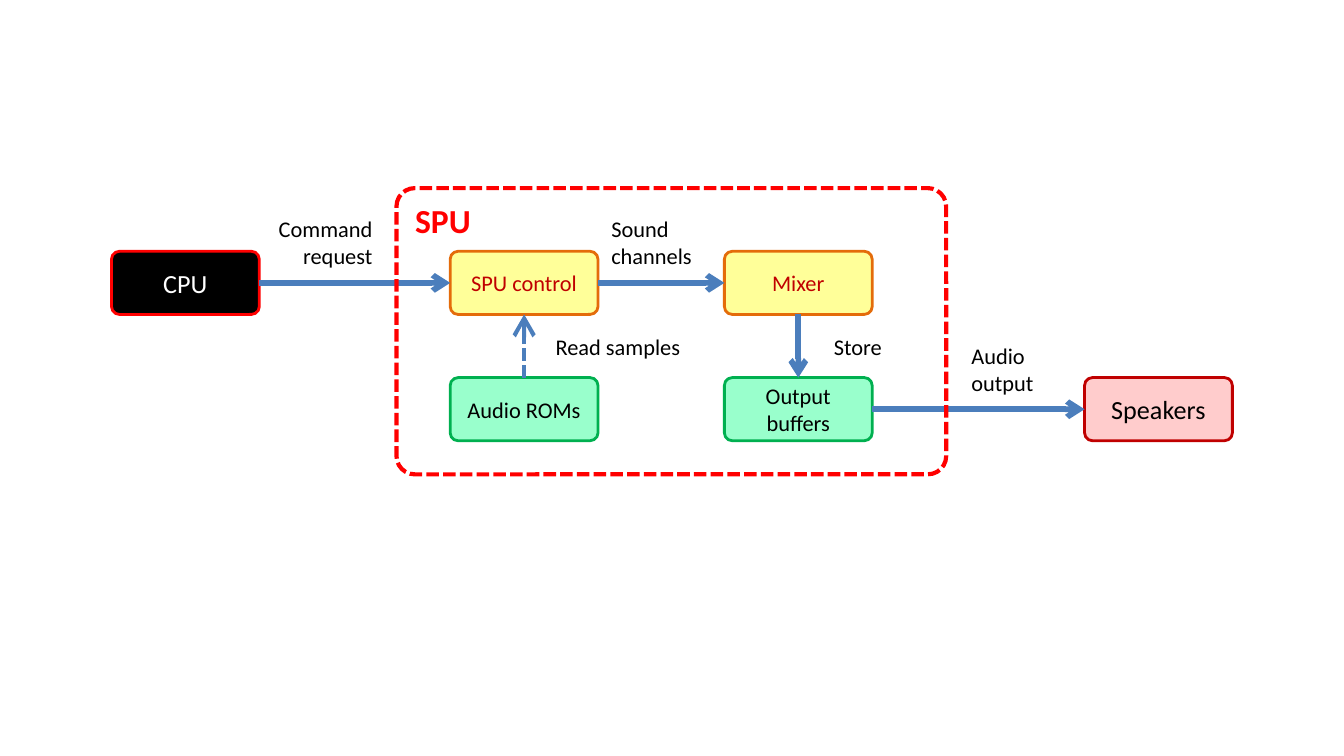
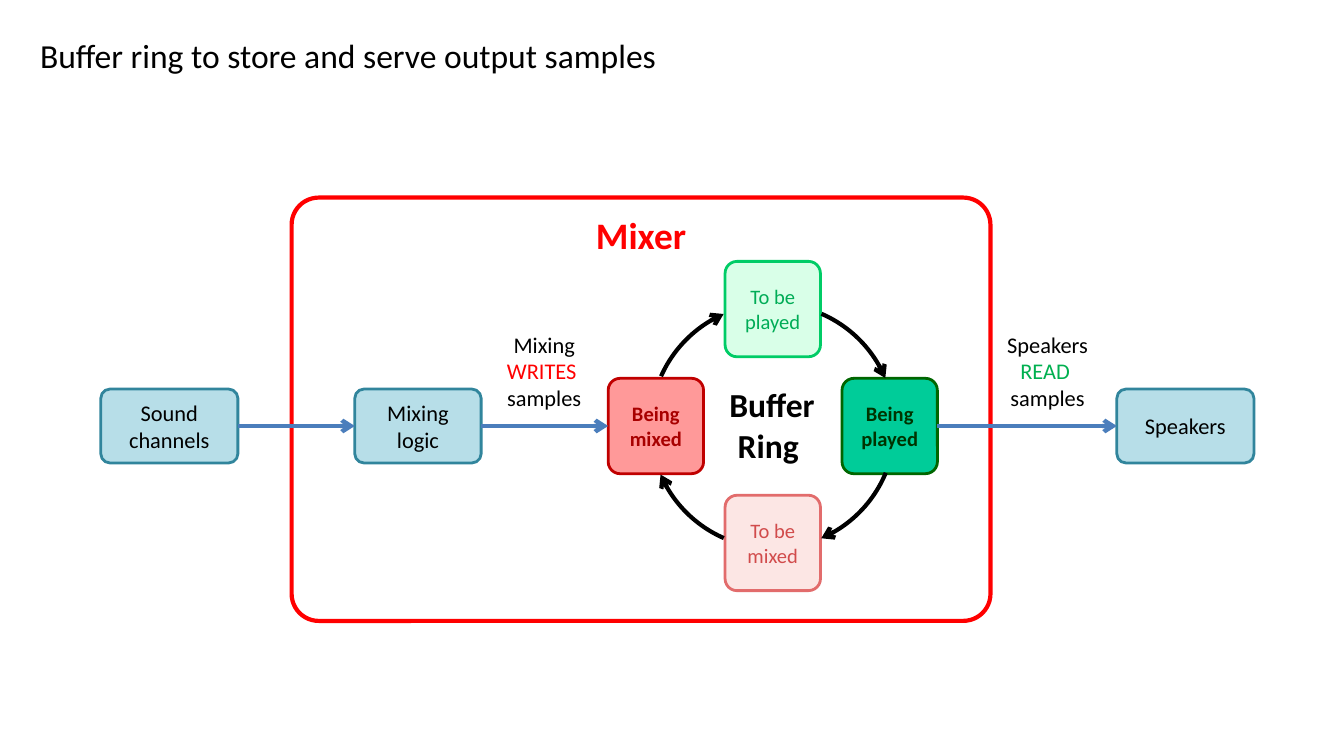
"""Draw the sound unit and the buffer ring of its mixer."""
from dataclasses import dataclass
from typing import NamedTuple

from lxml import etree
from pptx import Presentation
from pptx import util as u
from pptx.dml.color import RGBColor
from pptx.enum import dml, shapes, text
from pptx.oxml.ns import qn


class Skin(NamedTuple):
    fill: str | None
    edge: str
    ink: str
    size: float
    bold: bool = False


@dataclass(frozen=True)
class Theme:
    font: str = "Calibri"
    black: str = "000000"
    red: str = "FF0000"
    green: str = "00B050"
    link: str = "4B7EBC"
    note: float = 12
    head: float = 18
    edge: float = 1.5
    thin: float = 2.25
    thick: float = 3
    cpu: Skin = Skin("000000", "FF0000", "FFFFFF", 14)
    unit: Skin = Skin("FFFF99", "E46C0A", "C00000", 12)
    store: Skin = Skin("99FFCC", "00B050", "000000", 12)
    out: Skin = Skin("FFCCCC", "C00000", "000000", 14)
    step: Skin = Skin("B7DEE8", "31859C", "000000", 12)
    ready: Skin = Skin("D9FFE8", "00CC66", "00AC56", 11)
    play: Skin = Skin("00CC99", "006600", "003300", 11, True)
    free: Skin = Skin("FCE6E4", "E26C6C", "D14B4B", 11)
    mix: Skin = Skin("FF9999", "C00000", "A80000", 11, True)
    spu: Skin = Skin(None, "FF0000", "FF0000", 18, True)
    mixer: Skin = Skin(None, "FF0000", "FF0000", 20, True)


class Area(NamedTuple):
    x: float
    y: float
    w: float
    h: float

    def lengths(self) -> list:
        return [u.Inches(v) for v in self]


class Run(NamedTuple):
    words: str
    ink: str
    size: float
    bold: bool = False


@dataclass
class Box:
    words: str
    area: Area
    skin: Skin


@dataclass
class Note:
    lines: list[list[Run]]
    area: Area
    side: text.PP_ALIGN = text.PP_ALIGN.LEFT
    wrap: bool = True
    tight: bool = False


@dataclass
class Link:
    start: str
    end: str
    width: float
    dash: bool = False
    down: bool = False
    up: bool = False
    tip: str = "med"


T = Theme()
LEFT, MID, RIGHT = text.PP_ALIGN.LEFT, text.PP_ALIGN.CENTER, text.PP_ALIGN.RIGHT
TOP_SITE, LEFT_SITE, LOW_SITE, RIGHT_SITE = range(4)


def write(frame, lines: list[list[Run]], side) -> None:
    for i, runs in enumerate(lines):
        para = frame.paragraphs[0] if i == 0 else frame.add_paragraph()
        para.alignment = side
        for item in runs:
            run = para.add_run()
            run.text = item.words
            run.font.name = T.font
            run.font.size = u.Pt(item.size)
            run.font.bold = item.bold
            run.font.color.rgb = RGBColor.from_string(item.ink)


def stroke(shape, ink: str, width: float, dash: bool = False, tip: str = "") -> None:
    shape.line.color.rgb = RGBColor.from_string(ink)
    shape.line.width = u.Pt(width)
    if dash:
        shape.line.dash_style = dml.MSO_LINE.SQUARE_DOT
    if tip:
        line = shape.element.spPr.find(qn("a:ln"))
        etree.SubElement(line, qn("a:tailEnd"), type="arrow", w=tip, len=tip)


def draw_box(slide, box: Box, width: float = T.edge, bend: float = 0.125,
             side=MID, dash: bool = False):
    skin = box.skin
    shape = slide.shapes.add_shape(shapes.MSO_SHAPE.ROUNDED_RECTANGLE, *box.area.lengths())
    shape.adjustments[0] = bend
    shape.shadow.inherit = False
    if skin.fill:
        shape.fill.solid()
        shape.fill.fore_color.rgb = RGBColor.from_string(skin.fill)
    else:
        shape.fill.background()
    stroke(shape, skin.edge, width, dash)
    frame = shape.text_frame
    frame.word_wrap = True
    frame.vertical_anchor = text.MSO_ANCHOR.MIDDLE if skin.fill else text.MSO_ANCHOR.TOP
    write(frame, [[Run(box.words, skin.ink, skin.size, skin.bold)]], side)
    return shape


def draw_frame(slide, box: Box, side, dash: bool = False) -> None:
    draw_box(slide, box, T.thin, 0.064, side, dash)


def draw_note(slide, note: Note) -> None:
    frame = slide.shapes.add_textbox(*note.area.lengths()).text_frame
    frame.word_wrap = note.wrap
    frame.auto_size = text.MSO_AUTO_SIZE.SHAPE_TO_FIT_TEXT
    if note.tight:
        frame.vertical_anchor = text.MSO_ANCHOR.MIDDLE
        frame.margin_left = frame.margin_right = u.Inches(0.07)
        frame.margin_top = frame.margin_bottom = u.Inches(0.04)
    write(frame, note.lines, note.side)


def draw_link(slide, link: Link, made: dict) -> None:
    sites = (RIGHT_SITE, LEFT_SITE)
    if link.down:
        sites = (LOW_SITE, TOP_SITE)
    if link.up:
        sites = (TOP_SITE, LOW_SITE)
    line = slide.shapes.add_connector(shapes.MSO_CONNECTOR.STRAIGHT, 0, 0, 0, 0)
    line.begin_connect(made[link.start], sites[0])
    line.end_connect(made[link.end], sites[1])
    stroke(line, T.link, link.width, link.dash, link.tip)
    etree.SubElement(line.element.spPr, qn("a:effectLst"))


def draw_ring(slide, area: Area, spans: list[tuple[float, float]]) -> None:
    group = slide.shapes.add_group_shape()
    for span in spans:
        arc = group.shapes.add_shape(shapes.MSO_SHAPE.ARC, *area.lengths())
        for i, angle in enumerate(span):
            arc.adjustments[i] = angle * 0.6
        arc.shadow.inherit = False
        arc.fill.background()
        stroke(arc, T.black, T.thin, tip="med")


def draw_flow(slide, boxes: list[Box], links: list[Link], notes: list[Note]) -> None:
    made = {box.words: draw_box(slide, box) for box in boxes}
    for link in links:
        draw_link(slide, link, made)
    for note in notes:
        draw_note(slide, note)


def plain(words: str, area: Area, side=LEFT) -> Note:
    return Note([[Run(words, T.black, T.note)]], area, side)


def verb(first: str, act: str, ink: str, area: Area) -> Note:
    lines = [[Run(first, T.black, T.note)],
             [Run(act, ink, T.note), Run(" samples", T.black, T.note)]]
    return Note(lines, area, MID, tight=True)


def draw_spu(slide) -> None:
    wide, tall, top, low = 1.1, 0.47, 1.87, 2.81
    cells = [("CPU", 0.83, top, T.cpu), ("SPU control", 3.35, top, T.unit),
             ("Mixer", 5.39, top, T.unit), ("Audio ROMs", 3.35, low, T.store),
             ("Output buffers", 5.39, low, T.store), ("Speakers", 8.07, low, T.out)]
    boxes = [Box(words, Area(x, y, wide, tall), skin) for words, x, y, skin in cells]
    links = [Link("CPU", "SPU control", T.thick), Link("SPU control", "Mixer", T.thick),
             Link("Audio ROMs", "SPU control", T.thin, dash=True, up=True, tip="lg"),
             Link("Mixer", "Output buffers", T.thick, down=True),
             Link("Output buffers", "Speakers", T.thick)]
    notes = [plain("Command request", Area(1.77, 1.55, wide, 0.5), RIGHT),
             plain("Sound channels", Area(4.45, 1.55, wide, 0.5)),
             plain("Read samples", Area(3.98, 2.43, 1.18, 0.3), RIGHT),
             plain("Store", Area(5.79, 2.43, 0.87, 0.3), RIGHT),
             plain("Audio output", Area(7.13, 2.5, 0.87, 0.5))]
    draw_flow(slide, boxes, links, notes)
    draw_frame(slide, Box("SPU", Area(2.95, 1.4, 4.09, 2.13), T.spu), LEFT, dash=True)


def draw_mixer(slide) -> None:
    draw_frame(slide, Box("Mixer", Area(2.17, 1.47, 5.2, 3.15), T.mixer), MID)
    mid_x, mid_y, reach, cell, bow = 5.75, 3.17, 0.87, 0.71, 0.91
    ring = [("Being played", 1, 0, T.play), ("To be played", 0, -1, T.ready),
            ("To be mixed", 0, 1, T.free), ("Being mixed", -1, 0, T.mix)]
    boxes = [Box(words, Area(mid_x + dx * reach - cell / 2, mid_y + dy * reach - cell / 2,
                             cell, cell), skin) for words, dx, dy, skin in ring]
    tall = 0.55
    steps = [("Sound channels", 0.75, 1.02), ("Mixing logic", 2.64, 0.94),
             ("Speakers", 8.31, 1.02)]
    boxes += [Box(words, Area(x, mid_y - tall / 2, w, tall), T.step) for words, x, w in steps]
    pairs = [("Sound channels", "Mixing logic"), ("Mixing logic", "Being mixed"),
             ("Being played", "Speakers")]
    links = [Link(start, end, T.thin) for start, end in pairs]
    title = "Buffer ring to store and serve output samples"
    notes = [Note([[Run(title, T.black, T.head)]], Area(0.2, 0.21, 4.95, 0.4), wrap=False),
             verb("Speakers", "READ ", T.green, Area(7.36, 2.42, 0.87, 0.68)),
             verb("Mixing", "WRITES ", T.red, Area(3.58, 2.42, 0.94, 0.68)),
             Note([[Run("Buffer Ring ", T.black, T.head, True)]],
                  Area(5.31, 2.81, 0.87, 0.71), MID)]
    draw_flow(slide, boxes, links, notes)
    spans = [(22.52, 66.66), (113.62, 156.61), (203.99, 246.3), (293.49, 336.93)]
    draw_ring(slide, Area(mid_x - bow, mid_y - bow, 2 * bow, 2 * bow), spans)


def main() -> None:
    deck = Presentation()
    deck.slide_width = u.Inches(10)
    deck.slide_height = deck.slide_width * 9 // 16
    for draw in (draw_spu, draw_mixer):
        draw(deck.slides.add_slide(deck.slide_layouts[6]))
    deck.save("out.pptx")


if __name__ == "__main__":
    main()
